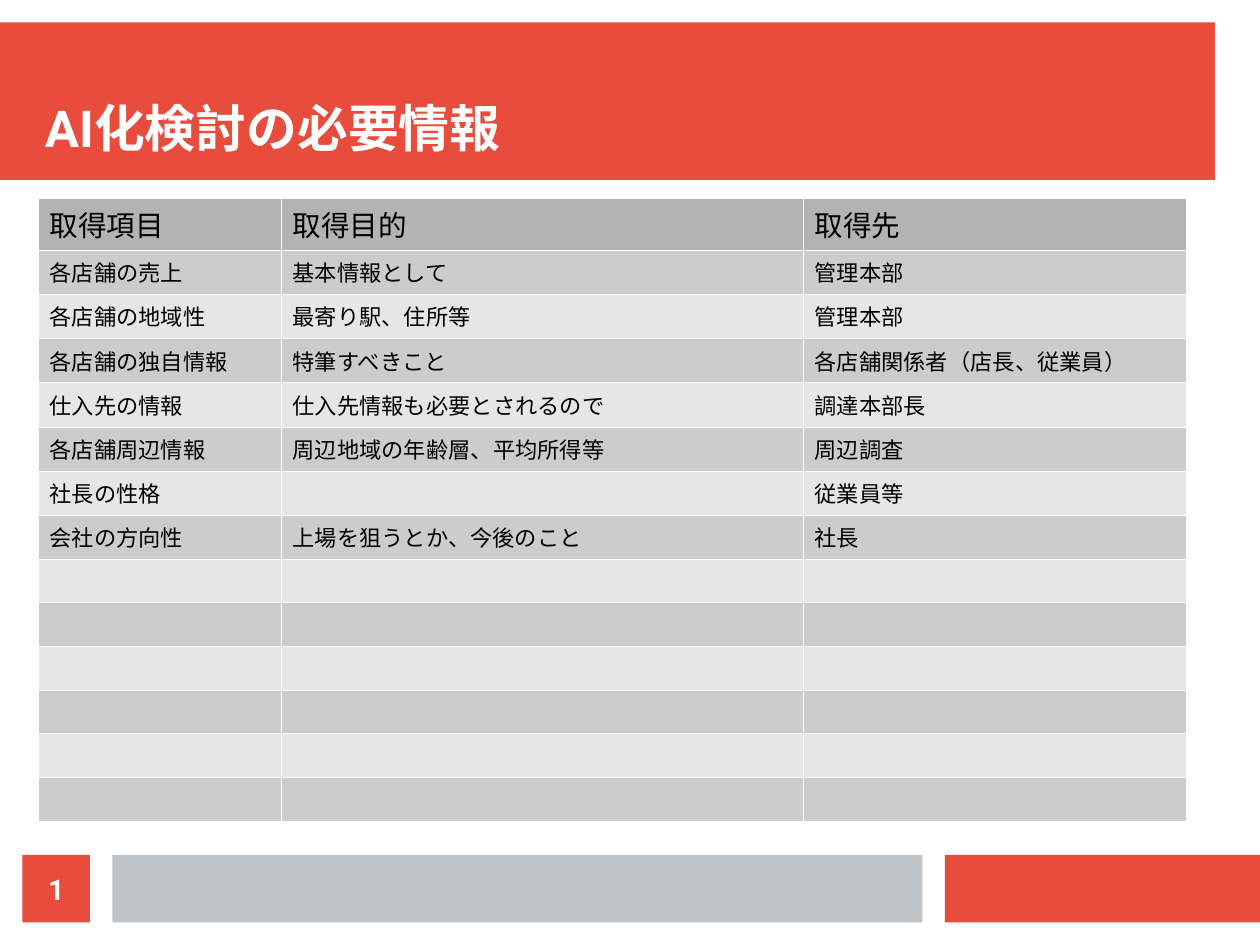
from dataclasses import dataclass

from lxml import etree
from pptx import Presentation
from pptx import util as u
from pptx.dml.color import RGBColor
from pptx.enum import shapes, text
from pptx.oxml import ns

TITLE = "AI化検討の必要情報"
NUMBER = "1"
HEADER = ("取得項目", "取得目的", "取得先")
ITEMS = [
    ("各店舗の売上", "基本情報として", "管理本部"),
    ("各店舗の地域性", "最寄り駅、住所等", "管理本部"),
    ("各店舗の独自情報", "特筆すべきこと", "各店舗関係者（店長、従業員）"),
    ("仕入先の情報", "仕入先情報も必要とされるので", "調達本部長"),
    ("各店舗周辺情報", "周辺地域の年齢層、平均所得等", "周辺調査"),
    ("社長の性格", "", "従業員等"),
    ("会社の方向性", "上場を狙うとか、今後のこと", "社長"),
]
SPARE_ROWS = 6
ARIAL_CELLS = {(0, 0), (2, 1)}

WIDTH, HEIGHT = u.Cm(28), u.Cm(21)
GRID_COLS, GRID_ROWS = 56, 42
TITLE_BOX = (2, 2, 52, 5)
NUMBER_BOX = (1, 38, 3, 3)
TABLE_AT = (1.7, 8.8)
TABLE_COLS = (10.8, 23.2, 17)
HEADER_H, ITEM_H, SPARE_H = 2.32, 1.96, 1.94


@dataclass(frozen=True)
class Theme:
    red: str = "E74C3C"
    silver: str = "BDC3C7"
    white: str = "FFFFFF"
    black: str = "000000"
    header: str = "B3B3B3"
    bands: tuple = ("CCCCCC", "E6E6E6")
    font: str = "Roboto"
    alt_font: str = "Arial"
    title: int = 32
    large: int = 18
    body: int = 14
    border: float = 0.06


T = Theme()
BARS = [
    ((0, 1, 54, 7), T.red),
    ((42, 38, 14, 3), T.red),
    ((5, 38, 36, 3), T.silver),
]


def gx(cols):
    return u.Emu(round(WIDTH * cols / GRID_COLS))


def gy(rows):
    return u.Emu(round(HEIGHT * rows / GRID_ROWS))


def place(box):
    x, y, w, h = box
    return gx(x), gy(y), gx(w), gy(h)


def set_all(target, values):
    for name, value in values.items():
        setattr(target, name, value)


def paint(fill, color):
    fill.solid()
    fill.fore_color.rgb = RGBColor.from_string(color)


def write(p, words, size, color, font=T.font, bold=False):
    r = p.add_run()
    r.text = words
    set_all(r.font, {"name": font, "size": u.Pt(size), "bold": bold})
    r.font.color.rgb = RGBColor.from_string(color)


def open_frame(sp, anchor):
    tf = sp.text_frame
    set_all(tf, {"margin_left": 0, "margin_right": 0, "margin_top": 0,
                 "margin_bottom": 0, "word_wrap": True,
                 "vertical_anchor": anchor})
    return tf.paragraphs[0]


def add_bar(s, box, color):
    sp = s.shapes.add_shape(shapes.MSO_SHAPE.RECTANGLE, *place(box))
    sp.shadow.inherit = False
    paint(sp.fill, color)
    sp.line.fill.background()
    return sp


def add_borders(cell):
    pr = cell._tc.get_or_add_tcPr()
    for i, side in enumerate(("lnL", "lnR", "lnT", "lnB")):
        ln = etree.Element(ns.qn("a:" + side), w=str(u.Pt(T.border)))
        fill = etree.SubElement(ln, ns.qn("a:solidFill"))
        etree.SubElement(fill, ns.qn("a:srgbClr"), val=T.white)
        pr.insert(i, ln)


def add_table(s):
    spare = [("",) * len(HEADER)] * SPARE_ROWS
    rows = [HEADER, *ITEMS, *spare]
    heights = [HEADER_H] + [ITEM_H] * len(ITEMS) + [SPARE_H] * SPARE_ROWS
    box = (*TABLE_AT, sum(TABLE_COLS), sum(heights))
    table = s.shapes.add_table(len(rows), len(HEADER), *place(box)).table
    for column, width in zip(table.columns, TABLE_COLS):
        column.width = gx(width)
    for i, (row, height) in enumerate(zip(rows, heights)):
        table.rows[i].height = gy(height)
        size = T.body if i else T.large
        for j, words in enumerate(row):
            cell = table.cell(i, j)
            paint(cell.fill, T.bands[(i - 1) % 2] if i else T.header)
            add_borders(cell)
            p = cell.text_frame.paragraphs[0]
            if words:
                font = T.alt_font if (i, j) in ARIAL_CELLS else T.font
                write(p, words, size, T.black, font)
            else:
                etree.SubElement(p._p, ns.qn("a:endParaRPr"), sz=str(size * 100))


def main():
    prs = Presentation()
    set_all(prs, {"slide_width": WIDTH, "slide_height": HEIGHT})
    s = prs.slides.add_slide(prs.slide_layouts[6])
    for box, color in BARS:
        add_bar(s, box, color)
    title = s.shapes.add_textbox(*place(TITLE_BOX))
    p = open_frame(title, text.MSO_ANCHOR.BOTTOM)
    write(p, TITLE, T.title, T.white, bold=True)
    add_table(s)
    p = open_frame(add_bar(s, NUMBER_BOX, T.red), text.MSO_ANCHOR.MIDDLE)
    p.alignment = text.PP_ALIGN.CENTER
    write(p, NUMBER, T.large, T.white, bold=True)
    prs.save("out.pptx")


if __name__ == "__main__":
    main()
